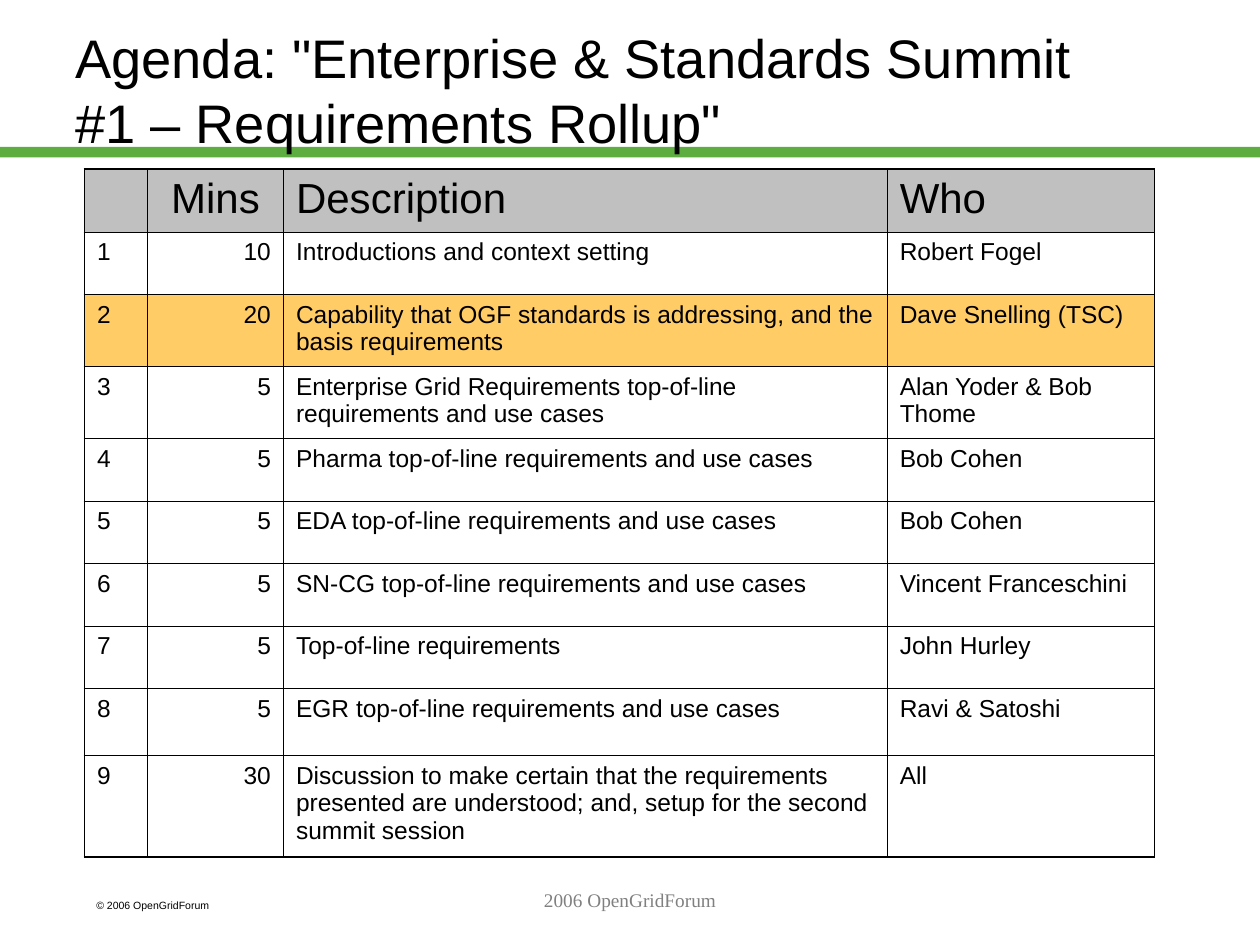
from lxml.etree import SubElement
from pptx import Presentation
from pptx.dml.color import RGBColor
from pptx.enum.shapes import MSO_SHAPE as Shape
from pptx.enum.text import MSO_ANCHOR as Anchor, PP_ALIGN as Align
from pptx.oxml.ns import qn
from pptx.util import Pt

BLACK = RGBColor(0x00, 0x00, 0x00)
GREEN = RGBColor(0x5D, 0xAD, 0x41)
SILVER = RGBColor(0xC0, 0xC0, 0xC0)
AMBER = RGBColor(0xFF, 0xCC, 0x66)
GREY = RGBColor(0x80, 0x80, 0x80)

THIN, THICK = 0.45, 1.08
HEAD = ["", "Mins", "Description", "Who"]
ITEMS = [
    (10, "Introductions and context setting", "Robert Fogel"),
    (20, "Capability that OGF standards is addressing, and the basis requirements",
     "Dave Snelling (TSC)"),
    (5, "Enterprise Grid Requirements top-of-line requirements and use cases",
     "Alan Yoder & Bob Thome"),
    (5, "Pharma top-of-line requirements and use cases", "Bob Cohen"),
    (5, "EDA top-of-line requirements and use cases", "Bob Cohen"),
    (5, "SN-CG top-of-line requirements and use cases", "Vincent Franceschini"),
    (5, "Top-of-line requirements", "John Hurley"),
    (5, "EGR top-of-line requirements and use cases", "Ravi & Satoshi"),
    (30, "Discussion to make certain that the requirements presented are understood; "
     "and, setup for the second summit session", "All"),
]
ACTIVE = 2
WIDTHS = [36, 77.75, 345, 152.75]
ROW = 35.75
TALL = {2: 41.2, 3: 41.2, 8: 38.25, 9: 57.7}


def style(frame, size, color=BLACK, align=Align.LEFT, face="Arial"):
    for para in frame.paragraphs:
        para.alignment = align
        para.font.size = Pt(size)
        for run in para.runs:
            run.font.size = Pt(size)
            run.font.name = face
            run.font.color.rgb = color


def add_text(slide, box, text, size, anchor=Anchor.TOP, **look):
    frame = slide.shapes.add_textbox(*map(Pt, box)).text_frame
    frame.word_wrap = True
    frame.vertical_anchor = anchor
    frame.text = text
    style(frame, size, **look)


def add_rule(slide):
    rule = slide.shapes.add_shape(Shape.RECTANGLE, 0, Pt(84), Pt(720), Pt(6))
    rule.shadow.inherit = False
    rule.fill.solid()
    rule.fill.fore_color.rgb = GREEN
    rule.line.fill.background()


def set_edges(cell, outer):
    """Draw all four cell borders, thicker on the sides named in outer."""
    props = cell._tc.get_or_add_tcPr()
    for i, side in enumerate("LRTB"):
        width = THICK if side in outer else THIN
        line = SubElement(props, qn(f"a:ln{side}"), w=str(Pt(width)))
        fill = SubElement(line, qn("a:solidFill"))
        SubElement(fill, qn("a:srgbClr"), val=str(BLACK))
        props.insert(i, line)


def set_cell(cell, text, row, col, last):
    cell.text = text
    align = Align.LEFT
    if col == 1:
        align = Align.RIGHT if row else Align.CENTER
    style(cell.text_frame, 14 if row else 24, align=align)
    color = {0: SILVER, ACTIVE: AMBER}.get(row)
    if color is None:
        cell.fill.background()
    else:
        cell.fill.solid()
        cell.fill.fore_color.rgb = color
    edges = {"L": col == 0, "R": col == len(HEAD) - 1, "T": row == 0, "B": row == last}
    set_edges(cell, [side for side, outer in edges.items() if outer])


def add_agenda(slide):
    data = [HEAD] + [[str(n), str(mins), topic, who]
                     for n, (mins, topic, who) in enumerate(ITEMS, 1)]
    highs = [TALL.get(i, ROW) for i in range(len(data))]
    table = slide.shapes.add_table(
        len(data), len(HEAD), Pt(48.25), Pt(96.5),
        Pt(sum(WIDTHS)), Pt(sum(highs))).table
    for col, width in zip(table.columns, WIDTHS):
        col.width = Pt(width)
    for row, high in zip(table.rows, highs):
        row.height = Pt(high)
    for r, texts in enumerate(data):
        for c, text in enumerate(texts):
            set_cell(table.cell(r, c), text, r, c, len(data) - 1)


def main():
    deck = Presentation()
    deck.slide_width, deck.slide_height = Pt(720), Pt(540)
    slide = deck.slides.add_slide(deck.slide_layouts[6])
    add_rule(slide)
    add_text(slide, (48, 510, 108, 14.5), "© 2006 OpenGridForum", 6)
    add_text(slide, (36, 12, 612, 78),
             'Agenda: "Enterprise & Standards Summit #1 – Requirements Rollup"',
             31, Anchor.MIDDLE)
    add_agenda(slide)
    add_text(slide, (150, 504, 420, 36), "2006 OpenGridForum", 11,
             color=GREY, align=Align.CENTER, face="Times New Roman")
    deck.save("out.pptx")


if __name__ == "__main__":
    main()
